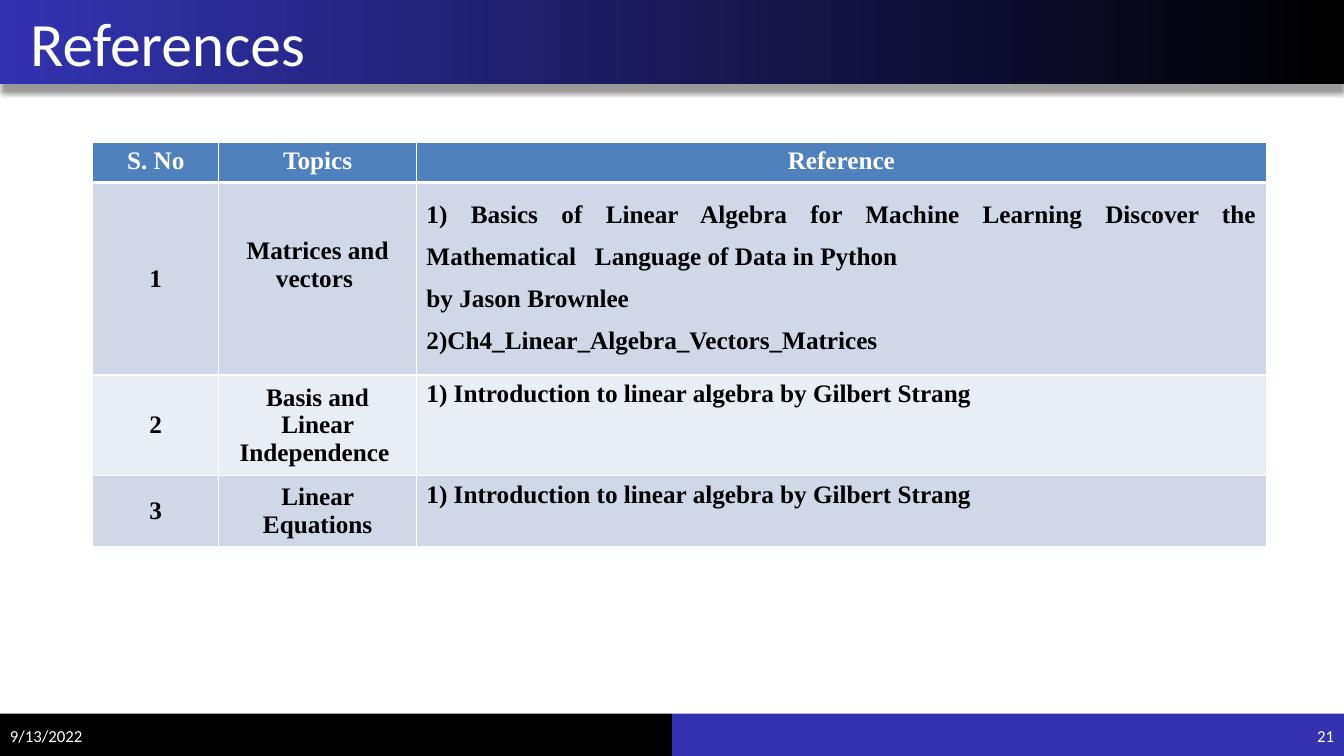
"""Builds a references slide with a title band, a table and a footer."""
from lxml import etree
from pptx import Presentation
from pptx.dml.color import RGBColor
from pptx.enum import shapes, text
from pptx.oxml import parse_xml
from pptx.util import Inches, Pt

NS = "http://schemas.openxmlformats.org/drawingml/2006/main"
WHITE = RGBColor(0xFF, 0xFF, 0xFF)
BLACK = RGBColor(0, 0, 0)
BLUE = RGBColor(0x33, 0x33, 0xB2)
HEADER = RGBColor(0x4F, 0x81, 0xBD)
BANDS = RGBColor(0xD0, 0xD8, 0xE8), RGBColor(0xE9, 0xED, 0xF4)
LEFT, CENTER, RIGHT, JUSTIFY = (
    text.PP_ALIGN.LEFT, text.PP_ALIGN.CENTER, text.PP_ALIGN.RIGHT, text.PP_ALIGN.JUSTIFY)
TOP, MIDDLE = text.MSO_ANCHOR.TOP, text.MSO_ANCHOR.MIDDLE
WIDTH, HEIGHT = 13.33, 7.5
COLUMNS = 1.25, 1.96, 8.43
ROW_HEIGHTS = 0.38, 1.91, 0.93, 0.65
STRANG = "1) Introduction to linear algebra by Gilbert Strang"
ROWS = [
    ("S. No", "Topics", "Reference"),
    ("1", "Matrices and vectors ",
     "1) Basics of Linear Algebra for Machine Learning Discover the "
     "Mathematical   Language of Data in Python \n"
     "by Jason Brownlee \n2)Ch4_Linear_Algebra_Vectors_Matrices"),
    ("2", "Basis and Linear Independence ", STRANG),
    ("3", "Linear Equations", STRANG),
]


def write(tf, words, size=18, font="Times New Roman", color=BLACK, bold=False,
          align=LEFT, spacing=None):
    """Write each line of words as a formatted paragraph."""
    for i, line in enumerate(words.split("\n")):
        p = tf.add_paragraph() if i else tf.paragraphs[0]
        p.alignment = align
        if spacing:
            p.line_spacing = spacing
        r = p.add_run()
        r.text = line
        r.font.size, r.font.name, r.font.bold = Pt(size), font, bold
        r.font.color.rgb = color


def add_label(s, words, x, y, w, h, margin=0.1, **fmt):
    """Add a vertically centred white text box."""
    tf = s.shapes.add_textbox(Inches(x), Inches(y), Inches(w), Inches(h)).text_frame
    tf.word_wrap = True
    tf.vertical_anchor = MIDDLE
    tf.margin_left = Inches(margin)
    write(tf, words, font="Calibri", color=WHITE, **fmt)


def add_bar(s, x, y, w, h, color):
    """Add a borderless filled rectangle."""
    sp = s.shapes.add_shape(shapes.MSO_SHAPE.RECTANGLE,
                            Inches(x), Inches(y), Inches(w), Inches(h))
    sp.shadow.inherit = False
    sp.line.fill.background()
    sp.fill.solid()
    sp.fill.fore_color.rgb = color
    return sp


def add_title(s, x, y, w, h):
    """Add the gradient title band with its soft shadow."""
    sp = add_bar(s, x, y, w, h, BLUE)
    sp.fill.gradient()
    sp.fill.gradient_angle = 0
    for stop, color in zip(sp.fill.gradient_stops, (BLUE, BLACK)):
        stop.color.rgb = color
    effects = sp._element.spPr.find(f"{{{NS}}}effectLst")
    effects.append(parse_xml(
        f'<a:outerShdw xmlns:a="{NS}" blurRad="{Pt(4)}" dist="{Pt(7)}" dir="5400000" '
        'algn="t" rotWithShape="0"><a:srgbClr val="000000"><a:alpha val="40000"/>'
        '</a:srgbClr></a:outerShdw>'))
    add_label(s, "References", x, y, w - 0.33, h, margin=0.3, size=44)


def add_footer(s, x, y, w, h):
    """Add the two footer bars with the date and the slide number."""
    half, label = w / 2, 1.56
    add_bar(s, x + half, y, half, h, BLUE)
    add_bar(s, x, y, half, h, BLACK)
    add_label(s, "9/13/2022", x, y + 0.02, label, h - 0.02, size=12)
    add_label(s, "21", x + w - label, y + 0.02, label, h - 0.02, size=12, align=RIGHT)


def set_borders(cell, bottom):
    """Draw white borders around a cell."""
    tcPr = cell._tc.get_or_add_tcPr()
    for side in "LRTB":
        ln = etree.SubElement(tcPr, f"{{{NS}}}ln{side}",
                              w=str(Pt(bottom if side == "B" else 1)))
        fill = etree.SubElement(ln, f"{{{NS}}}solidFill")
        etree.SubElement(fill, f"{{{NS}}}srgbClr", val=str(WHITE))


def add_references(s, x, y, w, h):
    """Add the banded table of topics and references."""
    table = s.shapes.add_table(len(ROWS), len(COLUMNS), Inches(x), Inches(y),
                               Inches(w), Inches(h)).table
    for column, width in zip(table.columns, COLUMNS):
        column.width = Inches(width)
    for i, (row, height) in enumerate(zip(ROWS, ROW_HEIGHTS)):
        table.rows[i].height = Inches(height)
        for j, words in enumerate(row):
            cell = table.cell(i, j)
            is_reference = i > 0 and j == 2
            set_borders(cell, 1 if i else 3)
            cell.fill.solid()
            cell.fill.fore_color.rgb = BANDS[(i - 1) % 2] if i else HEADER
            cell.vertical_anchor = MIDDLE if i and j < 2 else TOP
            write(cell.text_frame, words, bold=True, color=BLACK if i else WHITE,
                  align=JUSTIFY if is_reference else CENTER,
                  spacing=1.5 if "\n" in words else None)
    table.cell(1, 1).margin_bottom = Inches(0.33)


def main():
    """Build and save the slide."""
    prs = Presentation()
    prs.slide_width, prs.slide_height = Inches(WIDTH), Inches(HEIGHT)
    s = prs.slides.add_slide(prs.slide_layouts[6])
    add_footer(s, 0, 7.08, WIDTH, 0.42)
    add_title(s, 0, 0, WIDTH, 0.83)
    add_references(s, 0.92, 1.41, sum(COLUMNS), sum(ROW_HEIGHTS))
    prs.save("out.pptx")


if __name__ == "__main__":
    main()
